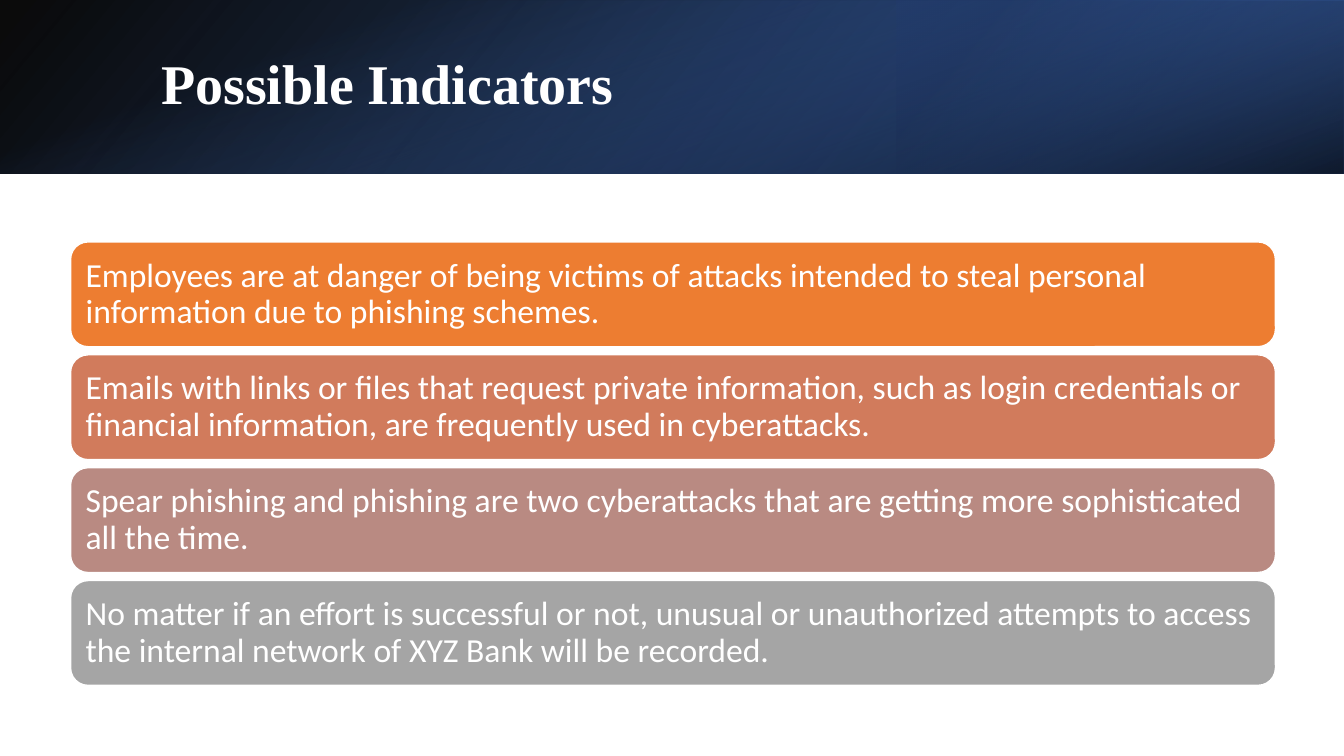
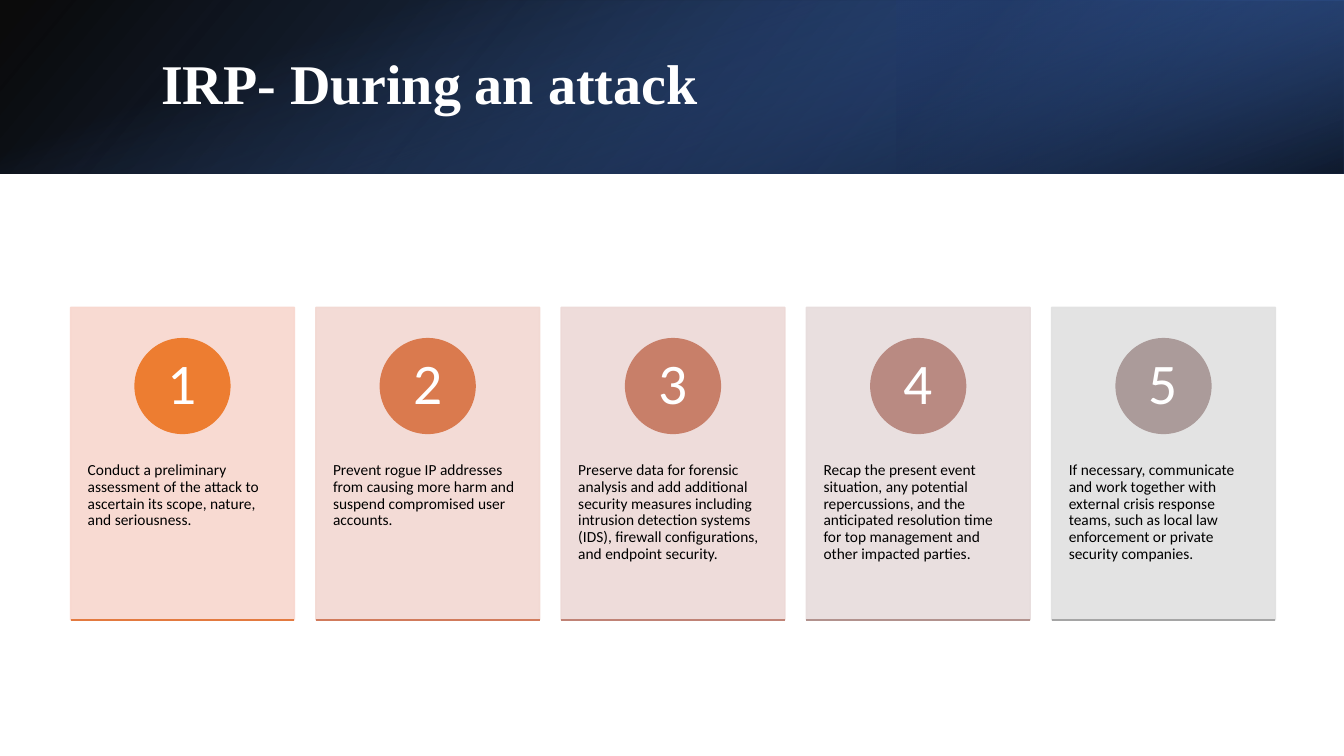
from lxml import etree
from pptx import Presentation
from pptx.dml.color import RGBColor
from pptx.enum.shapes import MSO_CONNECTOR as Conn, MSO_SHAPE as Shape
from pptx.enum.text import MSO_ANCHOR as Anchor, PP_ALIGN as Align
from pptx.oxml import parse_xml
from pptx.oxml.ns import nsdecls, qn
from pptx.util import Pt

PX = 9144  # EMU in one px, 100 px to the inch
WIDE, HIGH, BAND = 1333, 750, 172
WHITE, BLACK = "FFFFFF", "000000"
BODY, HEAD = "Calibri", "Times New Roman"

# left, top, width, height, rotation, flip, angle, stops (place, colour, opacity)
WASHES = [
    (0, 0, WIDE, BAND, 0, True, 140, [(0, BLACK, 96), (100, "2F5597", 100)]),
    (889, 0, 444, BAND, 180, True, 320, [(19, "203864", 68), (100, "4472C4", 79)]),
    (580, -580, BAND, WIDE, 90, False, 340, [(23, "4472C4", 0), (99, BLACK, 74)]),
]

SIGNS = [
    ("ED7D31", "Employees are at danger of being victims of attacks intended to "
               "steal personal information due to phishing schemes."),
    ("D17B5C", "Emails with links or files that request private information, such as "
               "login credentials or financial information, are frequently used in "
               "cyberattacks."),
    ("B98A82", "Spear phishing and phishing are two cyberattacks that are getting more "
               "sophisticated all the time."),
    ("A5A5A5", "No matter if an effort is successful or not, unusual or unauthorized "
               "attempts to access the internal network of XYZ Bank will be recorded."),
]

# card, disc and rule colours, then text
STEPS = [
    ("F8D7CE", "ED7D31", "E37A40",
     "Conduct a preliminary assessment of the attack to ascertain its scope, nature, "
     "and seriousness."),
    ("F2D8D2", "DA7A4E", "D17B5C",
     "Prevent rogue IP addresses from causing more harm and suspend compromised user "
     "accounts."),
    ("EDD9D7", "C87F69", "C08376",
     "Preserve data for forensic analysis and add additional security measures "
     "including intrusion detection systems (IDS), firewall configurations, and "
     "endpoint security."),
    ("E7DCDC", "B98A82", "B2928E",
     "Recap the present event situation, any potential repercussions, and the "
     "anticipated resolution time for top management and other impacted parties."),
    ("E1E1E1", "AB9B9A", "A5A5A5",
     "If necessary, communicate and work together with external crisis response teams, "
     "such as local law enforcement or private security companies."),
]


def emu(*vals):
    return [round(v * PX) for v in vals]


def rgb(code):
    return RGBColor.from_string(code)


def write(shape, text, size, color, font=BODY, bold=False,
          align=Align.LEFT, anchor=Anchor.MIDDLE, inset=(10, 10, 10, 10)):
    frame = shape.text_frame
    frame.text = text
    frame.word_wrap = True
    frame.vertical_anchor = anchor
    (frame.margin_left, frame.margin_top,
     frame.margin_right, frame.margin_bottom) = emu(*inset)
    para = frame.paragraphs[0]
    para.alignment = align
    para.line_spacing = 0.9
    face = para.runs[0].font
    face.name, face.size, face.bold = font, Pt(size), bold
    face.color.rgb = rgb(color)


def draw(slide, kind, box, fill, line=None, alpha=None):
    shape = slide.shapes.add_shape(kind, *emu(*box))
    shape.shadow.inherit = False
    shape.fill.solid()
    shape.fill.fore_color.rgb = rgb(fill)
    shape.line.color.rgb = rgb(line or fill)
    shape.line.width = Pt(1)
    if alpha:
        for tone in shape._element.spPr.iter(qn("a:srgbClr")):
            etree.SubElement(tone, qn("a:alpha")).set("val", str(alpha * 1000))
    return shape


def wash(slide, box, turn, flip, angle, stops):
    shape = draw(slide, Shape.RECTANGLE, box, BLACK)
    shape.line.fill.background()
    shape.rotation = turn
    props = shape._element.spPr
    if flip:
        props.find(qn("a:xfrm")).set("flipH", "1")
    marks = "".join(
        f'<a:gs pos="{at * 1000}"><a:srgbClr val="{tone}">'
        f'<a:alpha val="{alpha * 1000}"/></a:srgbClr></a:gs>'
        for at, tone, alpha in stops)
    grad = parse_xml(
        f'<a:gradFill {nsdecls("a")}><a:gsLst>{marks}</a:gsLst>'
        f'<a:lin ang="{angle * 60000}" scaled="0"/></a:gradFill>')
    props.replace(props.find(qn("a:solidFill")), grad)


def rule(slide, left, top, width, color):
    line = slide.shapes.add_connector(
        Conn.STRAIGHT, *emu(left, top, left + width, top))
    line.line.color.rgb = rgb(color)
    line.line.width = Pt(1)
    etree.SubElement(line._element.spPr, qn("a:effectLst"))


def start(deck, title):
    """New slide with the dark band and its title."""
    slide = deck.slides.add_slide(deck.slide_layouts[6])
    for *box, turn, flip, angle, stops in WASHES:
        wash(slide, box, turn, flip, angle, stops)
    label = slide.shapes.add_textbox(*emu(150, 38, 1098, 96))
    write(label, title, 40, WHITE, HEAD, bold=True, inset=(10, 5, 10, 5))
    return slide


def bars(slide, box, items, gap=8):
    """Rounded bars stacked to fill the box."""
    left, top, width, height = box
    tall = (height + gap) / len(items) - gap
    for row, (color, text) in enumerate(items):
        spot = left, top + row * (tall + gap), width, tall
        bar = draw(slide, Shape.ROUNDED_RECTANGLE, spot, color, WHITE)
        write(bar, text, 24, WHITE)


def card(slide, box, num, tint, tone, edge, text):
    """Tinted card with a numbered disc and a rule at its foot."""
    left, top, width, height = box
    disc = 94
    back = draw(slide, Shape.RECTANGLE, box, tint, alpha=90)
    write(back, text, 11, BLACK, anchor=Anchor.TOP, inset=(17, 154, 17, 36))
    spot = left + (width - disc) / 2, top + 31, disc, disc
    dot = draw(slide, Shape.OVAL, spot, tone)
    write(dot, str(num), 41, WHITE, align=Align.CENTER, inset=(7, 1, 7, 1))
    rule(slide, left, top + height, width, edge)


def cards(slide, box, items, wide=222):
    """Cards spread evenly over the box."""
    left, top, width, height = box
    step = (width - wide) / (len(items) - 1)
    for col, item in enumerate(items):
        card(slide, (left + col * step, top, wide, height), col + 1, *item)


def main():
    deck = Presentation()
    deck.slide_width, deck.slide_height = emu(WIDE, HIGH)
    bars(start(deck, "Possible Indicators"), (70, 240, 1195, 440), SIGNS)
    cards(start(deck, "IRP- During an attack"), (70, 305, 1195, 310), STEPS)
    deck.save("out.pptx")


if __name__ == "__main__":
    main()
